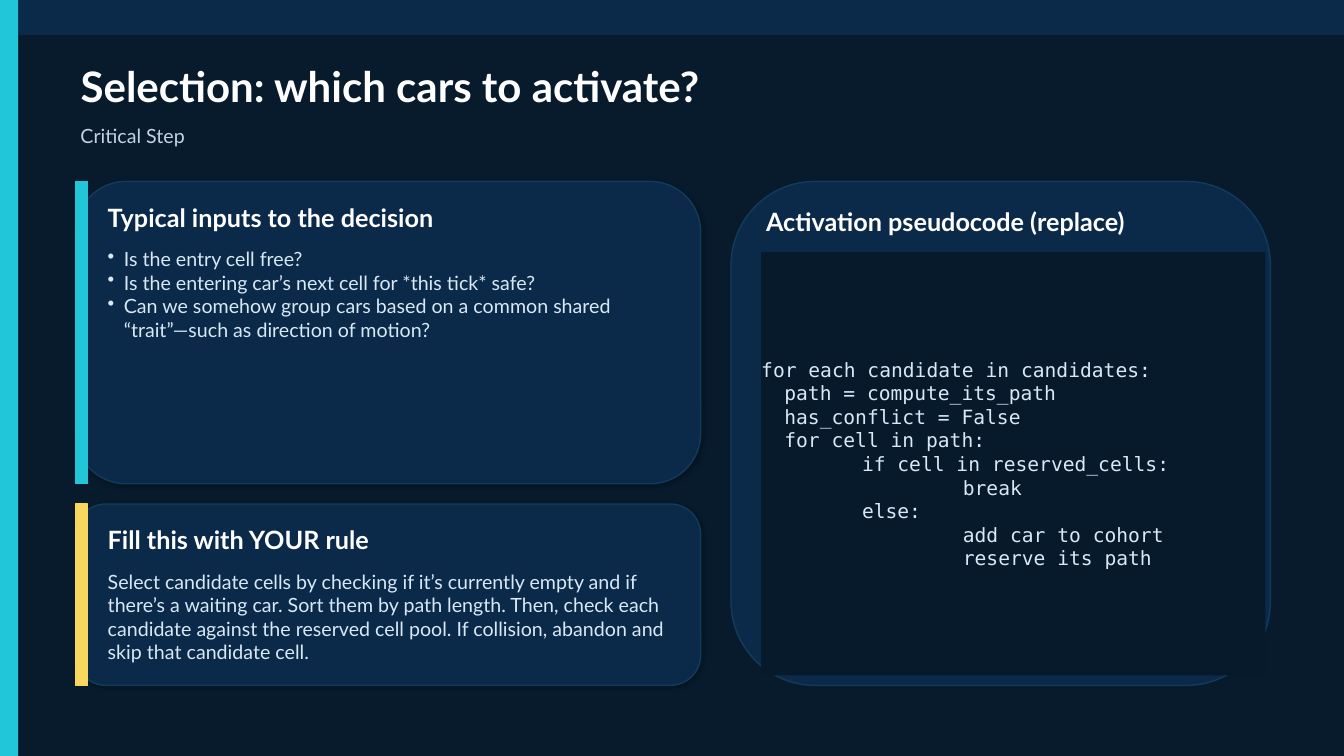
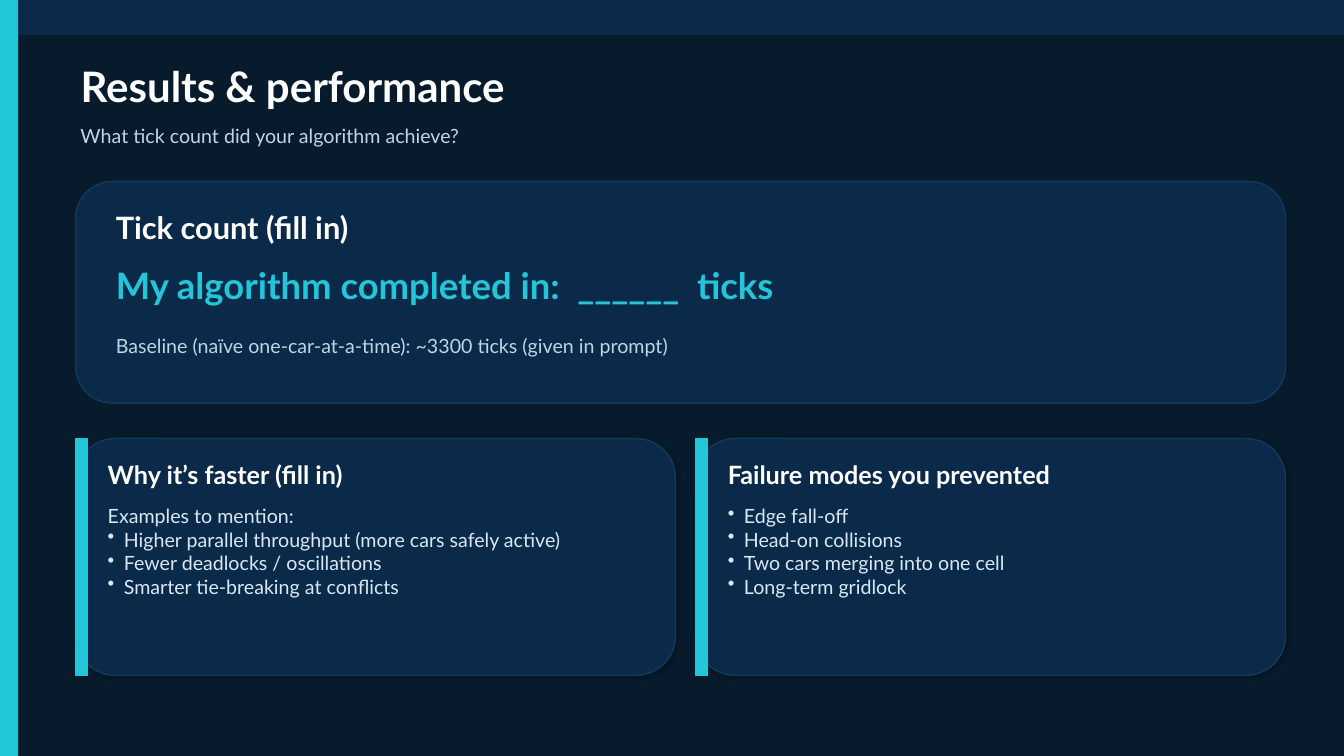
from dataclasses import dataclass
from typing import NamedTuple

from lxml import etree
from pptx import Presentation
from pptx import util as u
from pptx.dml.color import RGBColor
from pptx.enum import shapes, text
from pptx.oxml import ns

NIGHT = RGBColor(0x07, 0x1B, 0x2D)
NAVY = RGBColor(0x0B, 0x2A, 0x4A)
EDGE = RGBColor(0x12, 0x3B, 0x5A)
CODE_FILL = RGBColor(0x06, 0x1A, 0x2B)
CYAN = RGBColor(0x21, 0xC7, 0xD9)
YELLOW = RGBColor(0xF9, 0xD6, 0x5C)
WHITE = RGBColor(0xFF, 0xFF, 0xFF)
MUTED = RGBColor(0xBF, 0xD5, 0xE6)
PALE = RGBColor(0xD8, 0xE8, 0xF6)

SANS = "Lato"
MONO = "DejaVu Sans Mono"
RECT = shapes.MSO_SHAPE.RECTANGLE
ROUNDED = shapes.MSO_SHAPE.ROUNDED_RECTANGLE
TOP = text.MSO_ANCHOR.TOP
MIDDLE = text.MSO_ANCHOR.MIDDLE

SLIDE_WIDTH, SLIDE_HEIGHT = 13.33, 7.5
LEFT = 0.75
CONTENT_TOP = 1.8
BULLET_INDENT = 0.16


class Area(NamedTuple):
    left: float
    top: float
    width: float
    height: float

    def lengths(self) -> list[u.Length]:
        return [u.Inches(value) for value in self]


class Line(NamedTuple):
    words: str
    indent: float = 0
    bullet: bool = False


@dataclass(frozen=True)
class Card:
    area: Area
    heading: str
    lines: list[Line]
    accent: RGBColor = CYAN


def bullets(*items: str) -> list[Line]:
    return [Line(item, BULLET_INDENT, True) for item in items]


def indent_para(para, line: Line) -> None:
    """Indent the paragraph; a bullet hangs in the indent."""
    props = para._p.get_or_add_pPr()
    props.set("marL", str(u.Inches(line.indent)))
    props.set("indent", str(-u.Inches(line.indent) if line.bullet else 0))
    if line.bullet:
        etree.SubElement(props, ns.qn("a:buChar")).set("char", "•")


def write(shape, lines: str | list[Line], *, size: float, color: RGBColor,
          font: str = SANS, bold: bool = False, anchor=MIDDLE) -> None:
    frame = shape.text_frame
    frame.word_wrap = True
    frame.auto_size = text.MSO_AUTO_SIZE.NONE
    frame.vertical_anchor = anchor
    for index, line in enumerate([Line(lines)] if isinstance(lines, str) else lines):
        para = frame.add_paragraph() if index else frame.paragraphs[0]
        para.alignment = text.PP_ALIGN.LEFT
        if line.indent:
            indent_para(para, line)
        span = para.add_run()
        span.text = line.words
        span.font.name = font
        span.font.size = u.Pt(size)
        span.font.bold = bold
        span.font.color.rgb = color


def add_text(page, area: Area, lines: str | list[Line], **style) -> None:
    write(page.shapes.add_textbox(*area.lengths()), lines, **style)


def add_box(page, area: Area, fill: RGBColor, line: RGBColor | None = None, kind=RECT):
    box = page.shapes.add_shape(kind, *area.lengths())
    box.shadow.inherit = False
    box.fill.solid()
    box.fill.fore_color.rgb = fill
    if line is None:
        box.line.fill.background()
    else:
        box.line.color.rgb = line
        box.line.width = u.Pt(1)
    return box


def add_panel(page, area: Area):
    return add_box(page, area, NAVY, EDGE, ROUNDED)


def add_soft_shadow(box) -> None:
    effects = box.element.spPr.find(ns.qn("a:effectLst"))
    shadow = etree.SubElement(effects, ns.qn("a:outerShdw"), {
        "blurRad": str(u.Pt(3)), "dist": str(u.Pt(1.5)),
        "dir": str(45 * 60000), "algn": "tl", "rotWithShape": "0"})
    color = etree.SubElement(shadow, ns.qn("a:srgbClr"), {"val": "000000"})
    etree.SubElement(color, ns.qn("a:alpha"), {"val": "25000"})


def add_card(page, card: Card) -> None:
    left, top, width, height = card.area
    add_soft_shadow(add_panel(page, card.area))
    add_box(page, Area(left, top, 0.12, height), card.accent, card.accent)
    text_left, text_width = left + 0.22, width - 0.35
    add_text(page, Area(text_left, top + 0.18, text_width, 0.35), card.heading,
             size=18, color=WHITE, bold=True)
    add_text(page, Area(text_left, top + 0.6, text_width, height - 0.75), card.lines,
             size=14, color=PALE, anchor=TOP)


def add_page(deck, title: str, subtitle: str):
    """Add a slide with the shared bands, title and subtitle."""
    page = deck.slides.add_slide(deck.slide_layouts.get_by_name("Title Only"))
    add_box(page, Area(0, 0, SLIDE_WIDTH, 0.35), NAVY)
    add_box(page, Area(0, 0, 0.18, SLIDE_HEIGHT), CYAN)
    heading = page.shapes.title
    heading.left, heading.top, heading.width, heading.height = Area(
        0.7, 0.55, 12.2, 0.6).lengths()
    write(heading, title, size=30, color=WHITE, bold=True)
    add_text(page, Area(0.7, 1.15, 12.2, 0.4), subtitle, size=14, color=MUTED)
    return page


def add_selection_page(deck) -> None:
    page = add_page(deck, "Selection: which cars to activate?", "Critical Step")
    add_card(page, Card(
        Area(LEFT, CONTENT_TOP, 6.2, 3), "Typical inputs to the decision",
        bullets("Is the entry cell free?",
                "Is the entering car’s next cell for *this tick* safe?",
                "Can we somehow group cars based on a common shared "
                "“trait”—such as direction of motion?")))
    add_card(page, Card(
        Area(LEFT, 5, 6.2, 1.8), "Fill this with YOUR rule",
        [Line("Select candidate cells by checking if it’s currently empty and if "
              "there’s a waiting car. Sort them by path length. Then, check each "
              "candidate against the reserved cell pool. If collision, abandon and "
              "skip that candidate cell.")], YELLOW))

    add_panel(page, Area(7.25, CONTENT_TOP, 5.35, 5))
    add_text(page, Area(7.5, 2.02, 4.9, 0.35), "Activation pseudocode (replace)",
             size=18, color=WHITE, bold=True)
    code_box = add_box(page, Area(7.55, 2.5, 5, 4.2), CODE_FILL)
    frame = code_box.text_frame
    frame.margin_left = frame.margin_right = frame.margin_top = frame.margin_bottom = 0
    loop, inner, deep = 0.23, 1, 2
    write(code_box, [
        Line("for each candidate in candidates:"),
        Line("path = compute_its_path", loop),
        Line("has_conflict = False", loop),
        Line("for cell in path:", loop),
        Line("if cell in reserved_cells:", inner),
        Line("break", deep),
        Line("else:", inner),
        Line("add car to cohort", deep),
        Line("reserve its path", deep),
    ], size=14, color=PALE, font=MONO)


def add_results_page(deck) -> None:
    page = add_page(deck, "Results & performance",
                    "What tick count did your algorithm achieve?")
    add_panel(page, Area(LEFT, CONTENT_TOP, 12, 2.2))
    add_text(page, Area(1.05, 2.05, 11.4, 0.4), "Tick count (fill in)",
             size=22, color=WHITE, bold=True)
    add_text(page, Area(1.05, 2.55, 11.4, 0.55),
             "My algorithm completed in:  ______  ticks", size=26, color=CYAN, bold=True)
    add_text(page, Area(1.05, 3.25, 11.4, 0.35),
             "Baseline (naïve one-car-at-a-time): ~3300 ticks (given in prompt)",
             size=14, color=MUTED)
    add_card(page, Card(
        Area(LEFT, 4.35, 5.95, 2.35), "Why it’s faster (fill in)",
        [Line("Examples to mention:"),
         *bullets("Higher parallel throughput (more cars safely active)",
                  "Fewer deadlocks / oscillations",
                  "Smarter tie-breaking at conflicts")]))
    add_card(page, Card(
        Area(6.9, 4.35, 5.85, 2.35), "Failure modes you prevented",
        bullets("Edge fall-off", "Head-on collisions",
                "Two cars merging into one cell", "Long-term gridlock")))


def main() -> None:
    deck = Presentation()
    deck.slide_width = u.Inches(SLIDE_WIDTH)
    deck.slide_height = u.Inches(SLIDE_HEIGHT)
    backdrop = deck.slide_master.background.fill
    backdrop.solid()
    backdrop.fore_color.rgb = NIGHT
    add_selection_page(deck)
    add_results_page(deck)
    deck.save("out.pptx")


if __name__ == "__main__":
    main()
